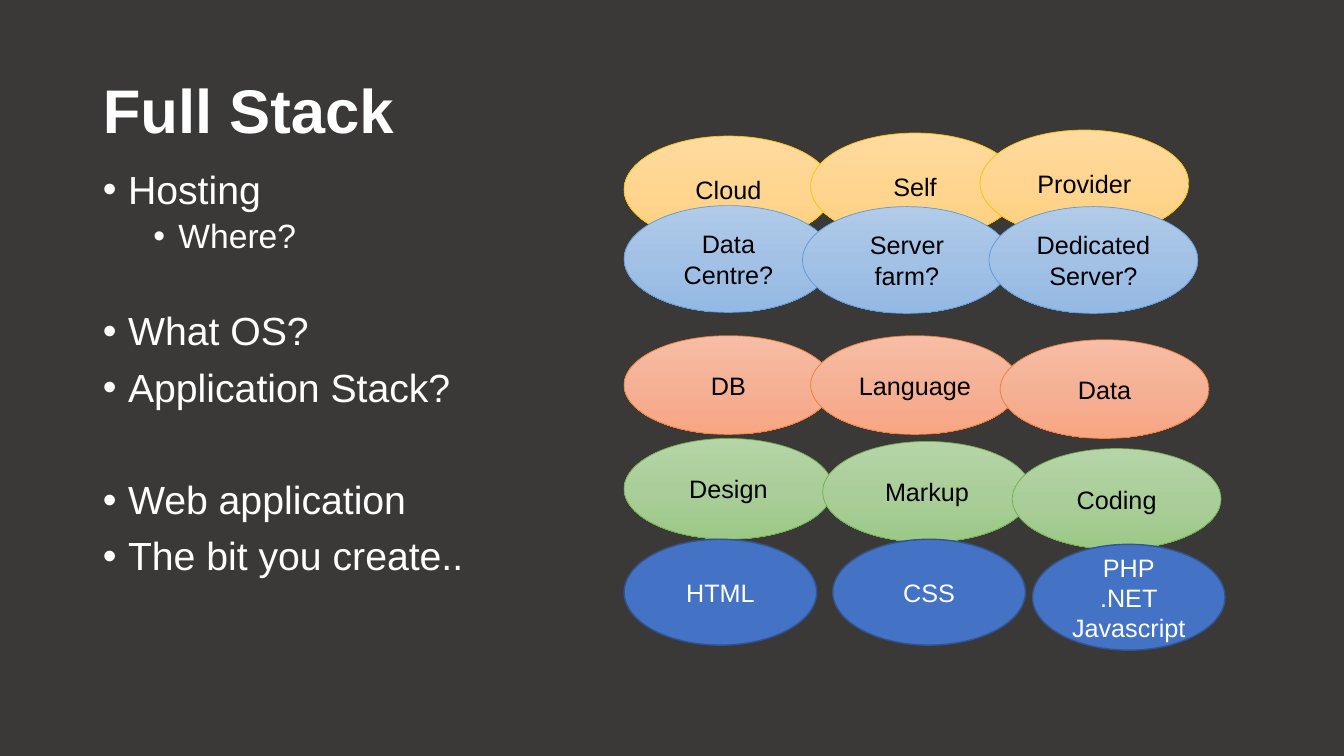
from copy import deepcopy

from pptx import Presentation
from pptx.dml.color import RGBColor
from pptx.enum.shapes import MSO_SHAPE
from pptx.enum.text import MSO_ANCHOR, MSO_AUTO_SIZE, PP_ALIGN
from pptx.oxml.ns import qn
from pptx.util import Pt

EMU_PER_PX = 9144  # 100 px to the inch
ELLIPSE = MSO_SHAPE.OVAL
MIDDLE, TOP = MSO_ANCHOR.MIDDLE, MSO_ANCHOR.TOP
LEFT, CENTER = PP_ALIGN.LEFT, PP_ALIGN.CENTER
NO_AUTOFIT = MSO_AUTO_SIZE.NONE

THEME = {
    "font": "Arial",
    "background": "3B3838",
    "light": "FFFFFF",
    "dark": "000000",
    "title": 44,
    "bullet": 28,
    "sub_bullet": 24,
    "label": 18,
    "hosting": {"fill": ["FFDB9E", "FFD590", "FFD07C"], "line": "FFC000"},
    "servers": {"fill": ["B1CBE9", "A3C1E5", "93B9E4"], "line": "5B9BD5"},
    "platform": {"fill": ["F7BDA5", "F5B196", "F8A582"], "line": "ED7D31"},
    "application": {"fill": ["B5D5A7", "AACE9A", "9CC987"], "line": "70AD47"},
    "code": {"fill": ["4472C4"], "line": "325491"},
}


def place(shape, *box):
    """Move and size a shape to left, top, width and height in px."""
    for name, value in zip(("left", "top", "width", "height"), box):
        setattr(shape, name, value * EMU_PER_PX)


def style(paragraph, size, color, bold=False, **layout):
    """Format the font of a paragraph and any paragraph settings given."""
    for name, value in layout.items():
        setattr(paragraph, name, value)
    font_values = {"name": THEME["font"], "size": Pt(size), "bold": bold}
    for name, value in font_values.items():
        setattr(paragraph.font, name, value)
    paragraph.font.color.rgb = RGBColor.from_string(color)


presentation = Presentation()
presentation.slide_width = 1333 * EMU_PER_PX
presentation.slide_height = 750 * EMU_PER_PX
slide = presentation.slides.add_slide(presentation.slide_layouts[1])
slide.background.fill.solid()
slide.background.fill.fore_color.rgb = RGBColor.from_string(THEME["background"])

# Title
title = slide.shapes.title
place(title, 92, 40, 1150, 145)
title.text_frame.text = "Full Stack"
title.text_frame.vertical_anchor = MIDDLE
title.text_frame.auto_size = NO_AUTOFIT
style(title.text_frame.paragraphs[0], THEME["title"], THEME["light"], bold=True,
      alignment=LEFT, line_spacing=0.9)

# Bullets: text, level, space before in points
bullets = [
    ("Hosting", 0, 0),
    ("Where?", 1, 5),
    ("What OS?", 0, 40),
    ("Application Stack?", 0, 10),
    ("Web application", 0, 50),
    ("The bit you create..", 0, 10),
]
body = slide.placeholders[1]
place(body, 92, 164, 1150, 476)
body.text_frame.text = "\n".join(text for text, level, space in bullets)
body.text_frame.vertical_anchor = TOP
body.text_frame.auto_size = NO_AUTOFIT
for paragraph, (text, level, space) in zip(body.text_frame.paragraphs, bullets):
    properties = paragraph._p.get_or_add_pPr()
    properties.set("marL", str((25 + 50 * level) * EMU_PER_PX))
    properties.set("indent", str(-25 * EMU_PER_PX))
    bullet = properties.makeelement(qn("a:buChar"), {"char": "•"})
    properties.append(bullet)
    style(paragraph, THEME["sub_bullet" if level else "bullet"], THEME["light"],
          level=level, alignment=LEFT, line_spacing=0.9,
          space_before=Pt(space), space_after=Pt(0))

# Stack layers: name, ellipse width and height, then label, left and top of each
layers = [
    ("hosting", 207, 106, [("Cloud", 619, 135), ("Self", 804, 132), ("Provider", 972, 129)]),
    ("servers", 207, 106, [("Data Centre?", 619, 204), ("Server farm?", 796, 205),
                           ("Dedicated Server?", 981, 205)]),
    ("platform", 207, 98, [("DB", 619, 333), ("Language", 804, 333), ("Data", 992, 337)]),
    ("application", 207, 100, [("Design", 619, 435), ("Markup", 816, 438),
                               ("Coding", 1004, 445)]),
    ("code", 191, 105, [("HTML", 619, 535), ("CSS", 826, 535),
                        ("PHP\n.NET\nJavascript", 1024, 540)]),
]
for layer, width, height, ellipses in layers:
    colors = THEME[layer]["fill"]
    is_gradient = len(colors) > 1
    for label, left, top in ellipses:
        shape = slide.shapes.add_shape(ELLIPSE, 0, 0, 0, 0)
        place(shape, left, top, width, height)
        shape.shadow.inherit = False
        if is_gradient:
            shape.fill.gradient()
            shape.fill.gradient_angle = 270
            stop_list = shape.element.spPr.find(qn("a:gradFill")).find(qn("a:gsLst"))
            stop_list.insert(1, deepcopy(stop_list[0]))
            for index, stop in enumerate(shape.fill.gradient_stops):
                stop.position = index / 2
                stop.color.rgb = RGBColor.from_string(colors[index])
        else:
            shape.fill.solid()
            shape.fill.fore_color.rgb = RGBColor.from_string(colors[0])
        shape.line.color.rgb = RGBColor.from_string(THEME[layer]["line"])
        shape.line.width = Pt(0.5 if is_gradient else 1)
        shape.text_frame.text = label
        shape.text_frame.word_wrap = True
        shape.text_frame.vertical_anchor = MIDDLE
        for paragraph in shape.text_frame.paragraphs:
            style(paragraph, THEME["label"], THEME["dark" if is_gradient else "light"],
                  alignment=CENTER)

presentation.save("out.pptx")
